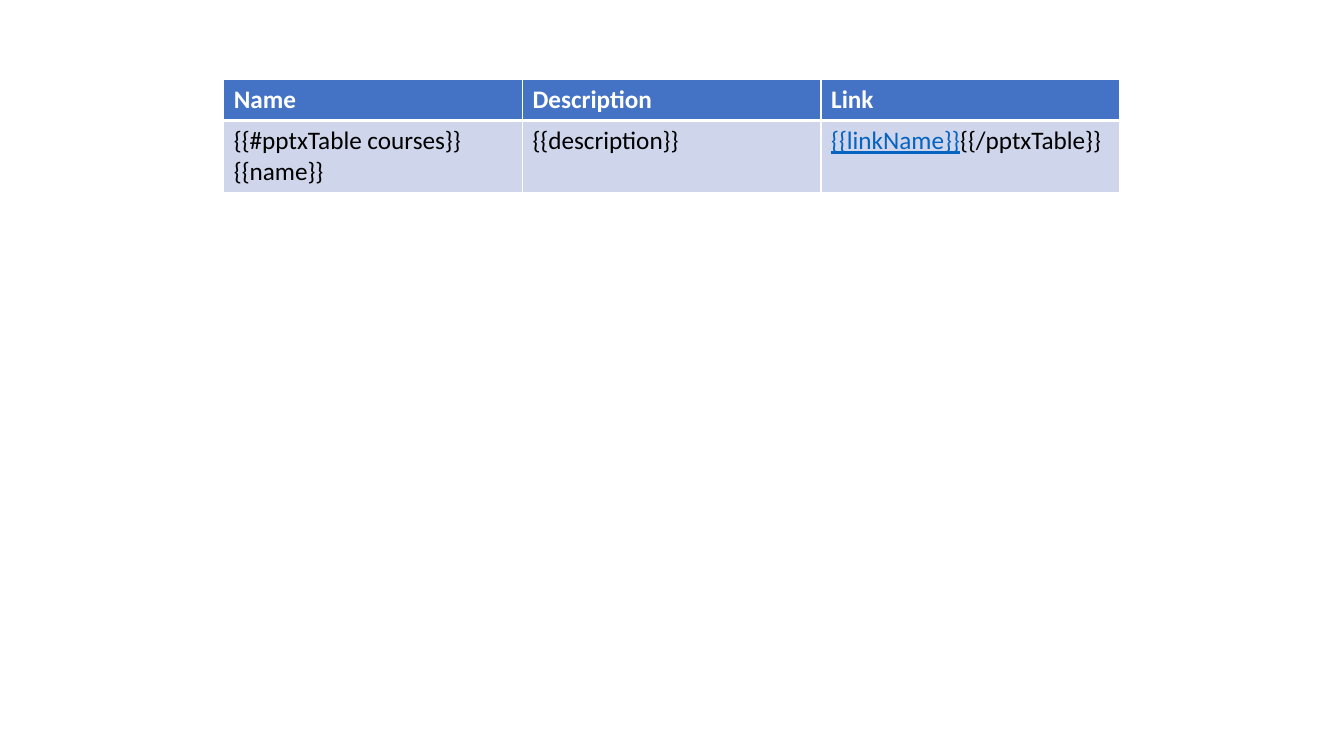
import pptx
import pptx.dml.color
import pptx.oxml
import pptx.oxml.ns
import pptx.util

Cm = pptx.util.Cm
HEADINGS = ["Name", "Description", "Link"]
COURSE_FIELDS = ["{{#pptxTable courses}}{{name}}", "{{description}}"]


def color(value):
    return pptx.dml.color.RGBColor.from_string(value)


def add_span(para, text, *, ink="000000", bold=False, underline=False):
    span = para.add_run()
    span.text = text
    span.font.name = "Calibri"
    span.font.size = pptx.util.Pt(18)
    span.font.bold = bold
    span.font.underline = underline
    span.font.color.rgb = color(ink)


def set_borders(cell, **widths):
    properties = cell._tc.get_or_add_tcPr()
    for position, side in enumerate(("L", "R", "T", "B")):
        width = pptx.util.Pt(widths.get(side, 1))
        border = pptx.oxml.parse_xml(
            f'<a:ln{side} {pptx.oxml.ns.nsdecls("a")} w="{width}">'
            '<a:solidFill><a:srgbClr val="FFFFFF"/></a:solidFill>'
            f'</a:ln{side}>'
        )
        properties.insert(position, border)


def paint_cell(cell, fill, **widths):
    cell.fill.solid()
    cell.fill.fore_color.rgb = color(fill)
    set_borders(cell, **widths)


def add_course_table(page):
    frame = page.shapes.add_table(
        2, len(HEADINGS), Cm(5.64), Cm(2.01), Cm(22.58), Cm(2.06)
    )
    table = frame.table
    for row in table.rows:
        row.height = Cm(1.03)
    for column, heading in enumerate(HEADINGS):
        header, body = table.cell(0, column), table.cell(1, column)
        paint_cell(header, "4472C4", B=3)
        paint_cell(body, "CFD5EA", T=3)
        add_span(header.text_frame.paragraphs[0], heading, ink="FFFFFF", bold=True)
    for column, field in enumerate(COURSE_FIELDS):
        add_span(table.cell(1, column).text_frame.paragraphs[0], field)
    link_para = table.cell(1, 2).text_frame.paragraphs[0]
    add_span(link_para, "{{linkName}}", ink="0563C1", underline=True)
    add_span(link_para, "{{/pptxTable}}")


def main():
    deck = pptx.Presentation()
    deck.slide_width, deck.slide_height = Cm(33.87), Cm(19.05)
    page = deck.slides.add_slide(deck.slide_layouts[6])
    add_course_table(page)
    deck.save("out.pptx")


if __name__ == "__main__":
    main()
